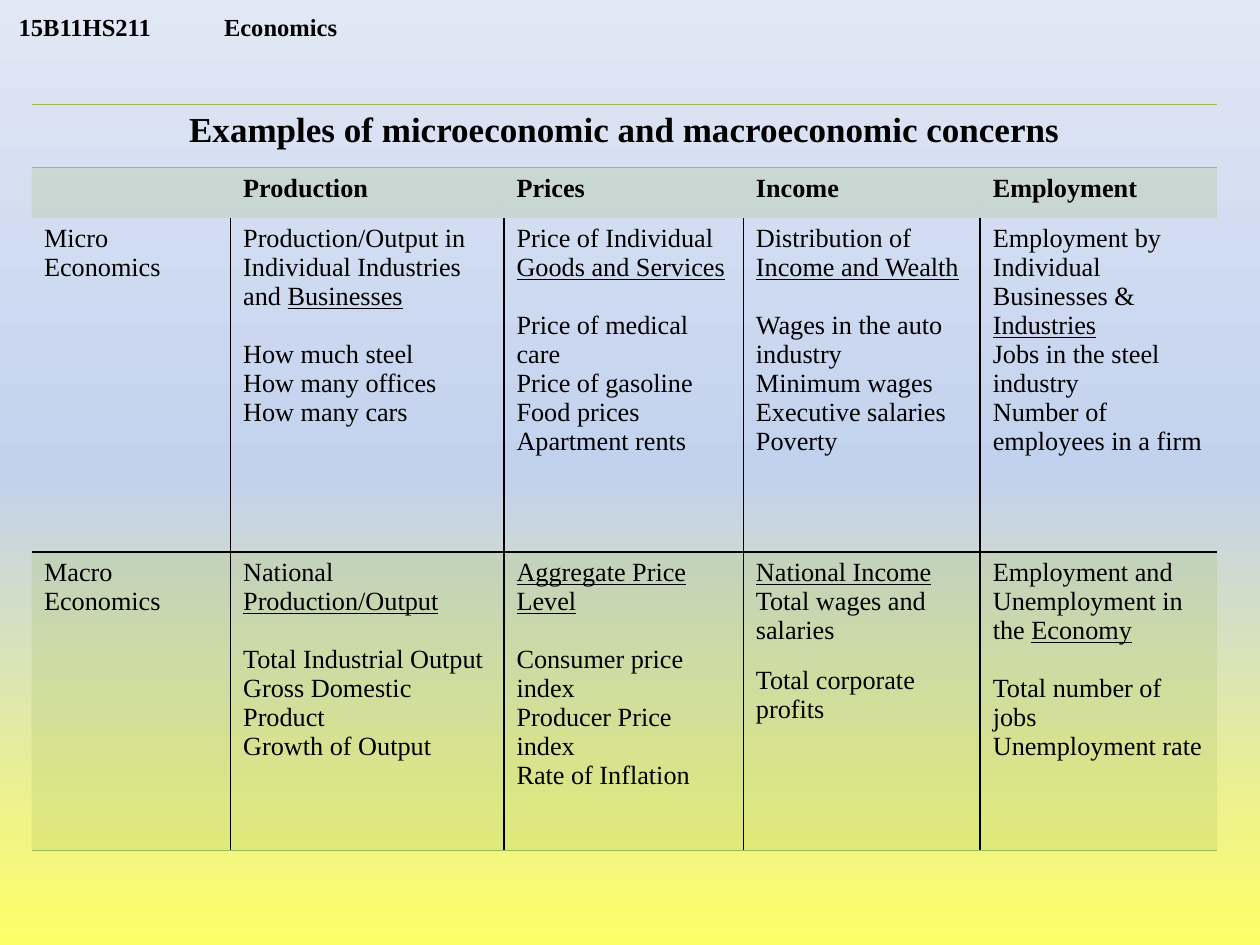
from lxml.etree import SubElement
from pptx import Presentation
from pptx.dml.color import RGBColor
from pptx.enum.text import MSO_ANCHOR, PP_ALIGN
from pptx.oxml import parse_xml
from pptx.oxml.ns import nsdecls, qn
from pptx.util import Inches, Pt

BLACK = RGBColor(0x00, 0x00, 0x00)
GREEN = RGBColor(0x9B, 0xBB, 0x59)
YELLOW = RGBColor(0xFF, 0xFF, 0x66)
BLUE = RGBColor(0xC2, 0xD1, 0xED)
PALE = RGBColor(0xE1, 0xE8, 0xF5)
FONT = "Times New Roman"
NO_STYLE = "{2D5ABB26-0587-4C30-8999-92F81FD0307C}"

COURSE = "15B11HS211\tEconomics"
TITLE = "Examples of microeconomic and macroeconomic concerns"
HEADINGS = ["", "Production", "Prices", "Income", "Employment"]
# A cell is a list of paragraph groups with a gap between; |...| is underlined.
MICRO = [
    [["Micro", "Economics"]],
    [["Production/Output in Individual Industries and |Businesses|"],
     ["How much steel", "How many offices", "How many cars"]],
    [["Price of Individual |Goods and Services|"],
     ["Price of medical care", "Price of gasoline", "Food prices",
      "Apartment rents"]],
    [["Distribution of |Income and Wealth|"],
     ["Wages in the auto", "industry", "Minimum wages",
      "Executive salaries", "Poverty"]],
    [["Employment by Individual Businesses & |Industries|",
      "Jobs in the steel industry", "Number of employees in a firm"]],
]
MACRO = [
    [["Macro", "Economics"]],
    [["National |Production/Output|"],
     ["Total Industrial Output", "Gross Domestic Product",
      "Growth of Output"]],
    [["|Aggregate Price Level|"],
     ["Consumer price index", "Producer Price index", "Rate of Inflation"]],
    [["|National Income|", "Total wages and salaries"],
     ["Total corporate profits"]],
    [["Employment and Unemployment in the |Economy|"],
     ["Total number of jobs", "Unemployment rate"]],
]
ROWS = [
    [[[TITLE]], [], [], [], []],
    [[[h]] if h else [] for h in HEADINGS],
    MICRO,
    MACRO,
]
COL_WIDTHS = [1.58, 2.17, 1.9, 1.88, 1.88]
ROW_HEIGHTS = [0.5, 0.39, 2.65, 2.37]
TITLE_ROW, HEAD_ROW, MICRO_ROW, MACRO_ROW = range(4)
TINTED = (HEAD_ROW, MACRO_ROW)
GAP, SMALL_GAP = 16.5, 12
SMALL_GAP_CELL = (MACRO_ROW, 3)


def set_background(s, stops):
    """Fill the slide with a gradient that rises from the bottom edge."""
    gs = "".join(f'<a:gs pos="{pos * 1000}"><a:srgbClr val="{color}"/></a:gs>'
                 for pos, color in stops)
    bg = parse_xml(
        f'<p:bg {nsdecls("p", "a")}><p:bgPr><a:gradFill rotWithShape="1">'
        f'<a:gsLst>{gs}</a:gsLst><a:lin ang="16200000" scaled="0"/>'
        '</a:gradFill><a:effectLst/></p:bgPr></p:bg>')
    s.element.cSld.insert(0, bg)


def add_text(p, text, **formats):
    """Add runs to a paragraph, underlining the parts between bars."""
    for i, part in enumerate(text.split("|")):
        if part:
            r = p.add_run()
            r.text = part
            r.font.color.rgb = BLACK
            for name, value in {"name": FONT, **formats}.items():
                setattr(r.font, name, value)
            if i % 2:
                r.font.underline = True


def fill_text(tf, groups, gap, **formats):
    """Write paragraph groups, with space above each group but the first."""
    first = True
    for group in groups:
        for i, text in enumerate(group):
            p = tf.paragraphs[0] if first else tf.add_paragraph()
            if i == 0 and not first:
                p.space_before = Pt(gap)
            add_text(p, text, **formats)
            first = False


def cell_borders(row, col):
    """Return the colour of each ruled side of a cell."""
    sides = {}
    if row >= MICRO_ROW:
        if col > 0:
            sides["L"] = BLACK
        if col < len(COL_WIDTHS) - 1:
            sides["R"] = BLACK
    if row in (TITLE_ROW, MACRO_ROW):
        sides["T"] = GREEN if row == TITLE_ROW else BLACK
    if row != HEAD_ROW:
        sides["B"] = BLACK if row == MICRO_ROW else GREEN
    return sides


def style_cell(cell, row, col):
    """Set the borders and then the fill of a cell."""
    tcPr = cell._tc.get_or_add_tcPr()
    sides = cell_borders(row, col)
    for side in "LRTB":
        if side in sides:
            ln = SubElement(tcPr, qn(f"a:ln{side}"), w=str(Pt(1)))
            solid = SubElement(ln, qn("a:solidFill"))
            SubElement(solid, qn("a:srgbClr"), val=str(sides[side]))
    if row in TINTED:
        cell.fill.solid()
        cell.fill.fore_color.rgb = GREEN
        color = tcPr.find(qn("a:solidFill")).find(qn("a:srgbClr"))
        SubElement(color, qn("a:alpha"), val="20000")
    else:
        cell.fill.background()


def add_course_line(s):
    """Place the course code and name, parted by a tab stop."""
    sp = s.shapes.add_textbox(Inches(0.05), 0, Inches(3.2), Inches(0.33))
    tf = sp.text_frame
    for name, value in {"word_wrap": True, "margin_top": 0,
                        "margin_bottom": 0,
                        "vertical_anchor": MSO_ANCHOR.BOTTOM}.items():
        setattr(tf, name, value)
    p = tf.paragraphs[0]
    add_text(p, COURSE, size=Pt(14), bold=True)
    tabs = SubElement(p._p.get_or_add_pPr(), qn("a:tabLst"))
    SubElement(tabs, qn("a:tab"), pos=str(Inches(1.63)), algn="l")


def add_concerns_table(s):
    """Build the table of micro and macro concerns."""
    frame = s.shapes.add_table(
        len(ROW_HEIGHTS), len(COL_WIDTHS), Inches(0.25), Inches(0.83),
        Inches(sum(COL_WIDTHS)), Inches(sum(ROW_HEIGHTS)))
    table = frame.table
    table.first_row = table.horz_banding = False
    table._tbl.tblPr.find(qn("a:tableStyleId")).text = NO_STYLE
    for column, width in zip(table.columns, COL_WIDTHS):
        column.width = Inches(width)
    for table_row, height in zip(table.rows, ROW_HEIGHTS):
        table_row.height = Inches(height)
    for row, cells in enumerate(ROWS):
        for col, groups in enumerate(cells):
            cell = table.cell(row, col)
            style_cell(cell, row, col)
            gap = SMALL_GAP if (row, col) == SMALL_GAP_CELL else GAP
            fill_text(cell.text_frame, groups, gap,
                      size=Pt(20 if row == TITLE_ROW else 15),
                      bold=row < MICRO_ROW)
    title = table.cell(TITLE_ROW, 0)
    title.merge(table.cell(TITLE_ROW, len(COL_WIDTHS) - 1))
    title.text_frame.paragraphs[0].alignment = PP_ALIGN.CENTER


prs = Presentation()
prs.slide_width, prs.slide_height = Inches(10), Inches(7.5)
s = prs.slides.add_slide(prs.slide_layouts[6])
set_background(s, [(0, YELLOW), (50, BLUE), (100, PALE)])
add_course_line(s)
add_concerns_table(s)
prs.save("out.pptx")
